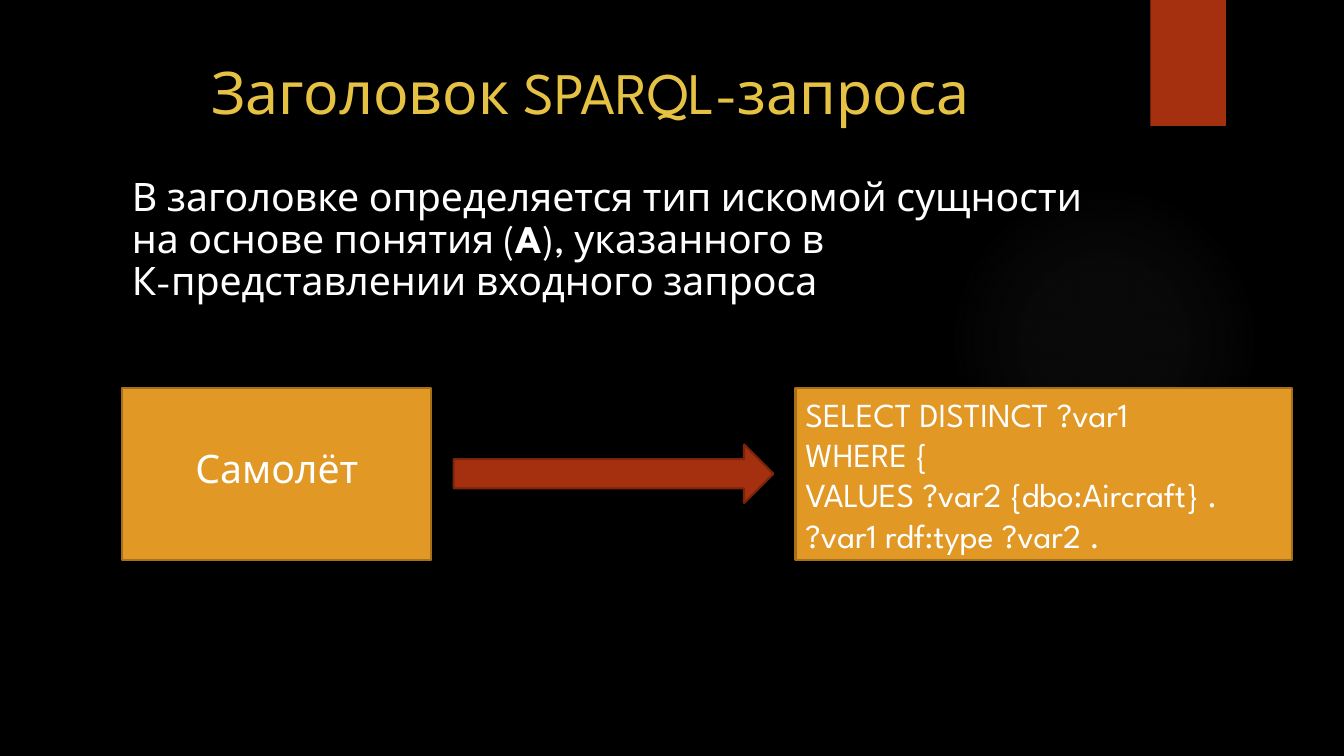
from lxml import etree
from pptx import Presentation
from pptx.dml.color import RGBColor
from pptx.enum.shapes import MSO_SHAPE
from pptx.enum.text import MSO_ANCHOR, PP_ALIGN
from pptx.oxml import parse_xml
from pptx.oxml.ns import nsdecls, qn
from pptx.util import Inches, Pt

RECT = MSO_SHAPE.RECTANGLE
OVAL = MSO_SHAPE.OVAL
ARROW = MSO_SHAPE.RIGHT_ARROW
TOP, MIDDLE = MSO_ANCHOR.TOP, MSO_ANCHOR.MIDDLE
LEFT, CENTER = PP_ALIGN.LEFT, PP_ALIGN.CENTER

BLACK = RGBColor(0x00, 0x00, 0x00)
WHITE = RGBColor(0xFF, 0xFF, 0xFF)
GRAY = RGBColor(0x84, 0x84, 0x84)
GOLD = RGBColor(0xE5, 0xC2, 0x43)
AMBER = RGBColor(0xE1, 0x98, 0x25)
BROWN = RGBColor(0xA6, 0x70, 0x1B)
RUST = RGBColor(0xA5, 0x30, 0x0F)
MAROON = RGBColor(0x7A, 0x24, 0x0B)

FONT = "League Spartan"
GLOW = ((0, 7), (36, 6), (69, 0))
QUERY = (
    "SELECT DISTINCT ?var1",
    "WHERE {",
    "VALUES ?var2 {dbo:Aircraft} .",
    "?var1 rdf:type ?var2 .",
)


def add_block(slide, kind, box, fill, edge=None):
    shape = slide.shapes.add_shape(kind, *map(Inches, box))
    shape.shadow.inherit = False
    shape.fill.solid()
    shape.fill.fore_color.rgb = fill
    if edge is None:
        shape.line.fill.background()
    else:
        shape.line.color.rgb = edge
        shape.line.width = Pt(1.5)
    return shape


def add_glow(slide, box):
    """Draw a faint round light that fades towards its rim."""
    shape = add_block(slide, OVAL, box, GRAY)
    grad = parse_xml(f'<a:gradFill {nsdecls("a")} rotWithShape="1"/>')
    stops = etree.SubElement(grad, qn("a:gsLst"))
    for pos, alpha in GLOW:
        stop = etree.SubElement(stops, qn("a:gs"), pos=str(pos * 1000))
        color = etree.SubElement(stop, qn("a:srgbClr"), val=str(GRAY))
        etree.SubElement(color, qn("a:alpha"), val=str(alpha * 1000))
    ring = etree.SubElement(grad, qn("a:path"), path="circle")
    etree.SubElement(ring, qn("a:fillToRect"), dict.fromkeys("ltrb", "50000"))
    props = shape._element.spPr
    props.replace(props.find(qn("a:solidFill")), grad)


def add_text(slide, box, lines, size, color=WHITE, align=LEFT, anchor=TOP,
             spacing=None):
    """Write one paragraph per line; a line is a tuple of plain and bold runs in turn."""
    frame = slide.shapes.add_textbox(*map(Inches, box)).text_frame
    frame.word_wrap = True
    frame.vertical_anchor = anchor
    frame.text = "\n".join("" for _ in lines)
    for para, parts in zip(frame.paragraphs, lines):
        para.alignment = align
        para.line_spacing = spacing
        for i, part in enumerate(parts):
            for j, piece in enumerate(part.split("\v")):
                if j:
                    para.add_line_break()
                run = para.add_run()
                run.text = piece
                run.font.name = FONT
                run.font.size = Pt(size)
                run.font.bold = i % 2 == 1
                run.font.color.rgb = color


def main():
    deck = Presentation()
    deck.slide_width, deck.slide_height = Inches(13.33), Inches(7.5)
    slide = deck.slides.add_slide(deck.slide_layouts[6])
    slide.background.fill.solid()
    slide.background.fill.fore_color.rgb = BLACK

    add_glow(slide, (9.41, 1.83, 3.08, 3.08))
    add_block(slide, RECT, (11.41, 0, 0.75, 1.25), RUST)

    concept = (1.21, 3.85, 3.07, 1.71)
    query = (7.89, 3.85, 4.92, 1.71)
    for box in (concept, query):
        add_block(slide, RECT, box, AMBER, BROWN)
    add_block(slide, ARROW, (4.5, 4.41, 3.17, 0.58), RUST, MAROON)

    add_text(slide, (0.71, 0.5, 10.29, 1.53),
             [("Заголовок SPARQL-запроса",)], 42, GOLD, CENTER)
    intro = (
        "В заголовке определяется тип искомой сущности на основе понятия (",
        "A",
        "), указанного в \vК-представлении входного запроса",
    )
    add_text(slide, (1.21, 1.71, 9.78, 1.19), [intro], 28, spacing=0.9)
    add_text(slide, (1.72, 4.36, 2.05, 0.57), [("Самолёт",)], 28, align=CENTER)
    add_text(slide, query, [(line,) for line in QUERY], 24, anchor=MIDDLE)
    deck.save("out.pptx")


if __name__ == "__main__":
    main()
